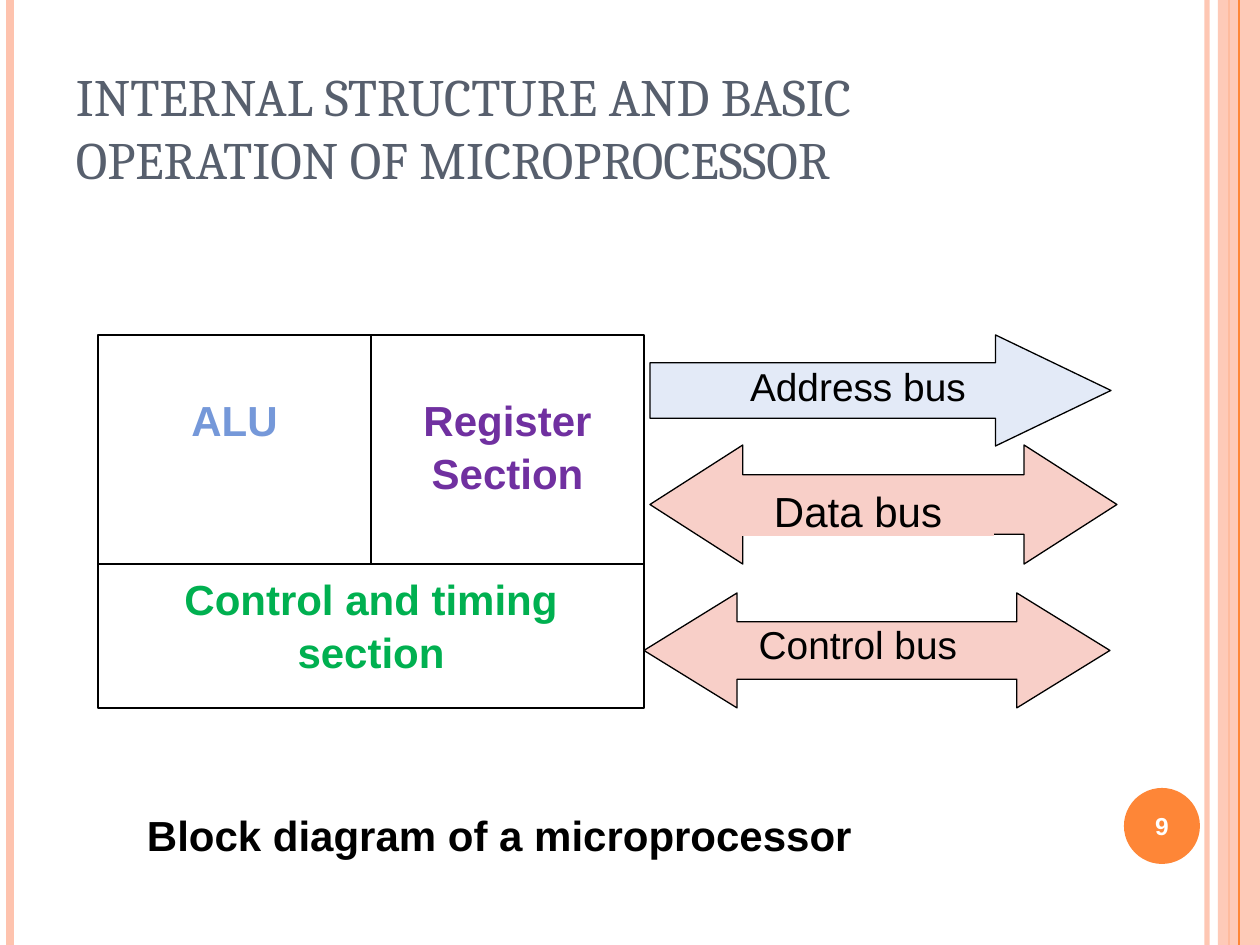
from typing import NamedTuple, Optional

from lxml.etree import SubElement
from pptx import Presentation
from pptx.dml.color import RGBColor
from pptx.enum.shapes import MSO_CONNECTOR, MSO_SHAPE
from pptx.enum.text import MSO_ANCHOR, PP_ALIGN
from pptx.oxml.ns import qn
from pptx.util import Emu, Pt

EMU_PER_PX = 914400 / 126
PAGE_WIDTH, PAGE_HEIGHT = 1260, 945

BLACK = RGBColor(0x00, 0x00, 0x00)
WHITE = RGBColor(0xFF, 0xFF, 0xFF)
SLATE = RGBColor(0x57, 0x5F, 0x6D)
PEACH = RGBColor(0xFE, 0xC3, 0xAE)
ORANGE = RGBColor(0xFE, 0x86, 0x37)
BLUE = RGBColor(0x75, 0x98, 0xD9)
PURPLE = RGBColor(0x70, 0x30, 0xA0)
GREEN = RGBColor(0x00, 0xB0, 0x50)
PALE_BLUE = RGBColor(0xE3, 0xEA, 0xF7)
PALE_RED = RGBColor(0xF8, 0xCF, 0xC8)


class Area(NamedTuple):
    left: int
    top: int
    width: int
    height: int


class Stripe(NamedTuple):
    x: int
    color: RGBColor
    points: float
    opacity: int = 100


class Block(NamedTuple):
    text: str
    area: Area
    color: RGBColor
    top_inset: int


class Bus(NamedTuple):
    kind: MSO_SHAPE
    area: Area
    head: float
    fill: RGBColor


class Label(NamedTuple):
    text: str
    area: Area
    size: float
    spacing: float
    fill: Optional[RGBColor] = None


STRIPES_BELOW = [
    Stripe(1207, PEACH, 3, 93),
    Stripe(10, PEACH, 4.5),
    Stripe(1229, ORANGE, 1.5),
]
BAND = Area(1218, 0, 42, PAGE_HEIGHT)
STRIPE_ABOVE = Stripe(1239, ORANGE, 0.75)
BADGE = Area(1124, 788, 76, 76)

LEFT, TOP, CELL, UPPER, LOWER = 98, 335, 273, 229, 144
BLOCKS = [
    Block("ALU", Area(LEFT, TOP, CELL, UPPER), BLUE, 57),
    Block("Register Section", Area(LEFT + CELL, TOP, CELL, UPPER), PURPLE, 57),
    Block("Control and timing section",
          Area(LEFT, TOP + UPPER, 2 * CELL, LOWER), GREEN, 7),
]
BUSES = [
    Bus(MSO_SHAPE.RIGHT_ARROW, Area(650, 335, 461, 111), 1.04, PALE_BLUE),
    Bus(MSO_SHAPE.LEFT_RIGHT_ARROW, Area(650, 445, 467, 119), 0.78, PALE_RED),
    Bus(MSO_SHAPE.LEFT_RIGHT_ARROW, Area(644, 593, 466, 115), 0.81, PALE_RED),
]
LABELS = [
    Label("Address bus", Area(722, 363, 272, 58), 22.2, 0.9),
    Label("Data bus", Area(722, 478, 272, 58), 24, 1.05, PALE_RED),
    Label("Control bus", Area(722, 621, 272, 58), 22.2, 0.9),
]


def px(length: int) -> Emu:
    return Emu(round(length * EMU_PER_PX))


def place(area: Area) -> list:
    return [px(length) for length in area]


def set_opacity(element, percent: int) -> None:
    color = next(element.iter(qn("a:srgbClr")))
    SubElement(color, qn("a:alpha")).set("val", str(percent * 1000))


def add_stripe(page, stripe: Stripe) -> None:
    x = px(stripe.x)
    line = page.shapes.add_connector(MSO_CONNECTOR.STRAIGHT, x, 0, x, px(PAGE_HEIGHT))
    line.line.color.rgb = stripe.color
    line.line.width = Pt(stripe.points)
    if stripe.opacity < 100:
        set_opacity(line.line._get_or_add_ln(), stripe.opacity)
    SubElement(line._element.spPr, qn("a:effectLst"))


def add_panel(page, kind: MSO_SHAPE, area: Area, fill: RGBColor,
              outlined: bool = False):
    shape = page.shapes.add_shape(kind, *place(area))
    shape.shadow.inherit = False
    shape.fill.solid()
    shape.fill.fore_color.rgb = fill
    if outlined:
        shape.line.color.rgb = BLACK
        shape.line.width = Pt(0.75)
    else:
        shape.line.fill.background()
    return shape


def write(shape, text: str, size: float, color: RGBColor, bold: bool = False,
          font: str = "Arial", align: PP_ALIGN = PP_ALIGN.CENTER,
          anchor: MSO_ANCHOR = MSO_ANCHOR.TOP, spacing: float = 1.0,
          side_inset: int = 11, top_inset: int = 5) -> None:
    frame = shape.text_frame
    frame.text = text
    frame.word_wrap = True
    frame.vertical_anchor = anchor
    frame.margin_left = frame.margin_right = px(side_inset)
    frame.margin_top, frame.margin_bottom = px(top_inset), px(5)
    para = frame.paragraphs[0]
    para.alignment = align
    para.line_spacing = spacing
    span = para.runs[0]
    span.font.name = font
    span.font.size = Pt(size)
    span.font.bold = bold
    span.font.color.rgb = color


def add_title(page) -> None:
    title = page.shapes.title
    title.left, title.top, title.width, title.height = place(Area(63, 38, 1029, 157))
    write(title, "INTERNAL STRUCTURE AND BASIC OPERATION OF MICROPROCESSOR", 30,
          SLATE, font="Cambria", align=PP_ALIGN.LEFT, anchor=MSO_ANCHOR.BOTTOM,
          side_inset=13)


def add_frame(page) -> None:
    for stripe in STRIPES_BELOW:
        add_stripe(page, stripe)
    band = add_panel(page, MSO_SHAPE.RECTANGLE, BAND, PEACH)
    set_opacity(band._element.spPr, 87)
    add_stripe(page, STRIPE_ABOVE)
    add_panel(page, MSO_SHAPE.OVAL, BADGE, ORANGE)


def add_diagram(page) -> None:
    for block in BLOCKS:
        box = add_panel(page, MSO_SHAPE.RECTANGLE, block.area, WHITE, outlined=True)
        write(box, block.text, 24, block.color, bold=True, spacing=1.05,
              top_inset=block.top_inset)
    for bus in BUSES:
        arrow = add_panel(page, bus.kind, bus.area, bus.fill, outlined=True)
        arrow.adjustments[0] = 0.5
        arrow.adjustments[1] = bus.head
    for label in LABELS:
        if label.fill is None:
            box = page.shapes.add_textbox(*place(label.area))
        else:
            box = add_panel(page, MSO_SHAPE.RECTANGLE, label.area, label.fill)
        write(box, label.text, label.size, BLACK, spacing=label.spacing)


def add_notes_text(page) -> None:
    number = page.shapes.add_textbox(*place(Area(1120, 790, 84, 72)))
    write(number, "9", 14, WHITE, bold=True, anchor=MSO_ANCHOR.MIDDLE)
    caption = page.shapes.add_textbox(*place(Area(134, 800, 833, 63)))
    write(caption, "Block diagram of a microprocessor", 24, BLACK, bold=True,
          align=PP_ALIGN.LEFT, side_inset=13, top_inset=10)


def main() -> None:
    deck = Presentation()
    deck.slide_width, deck.slide_height = px(PAGE_WIDTH), px(PAGE_HEIGHT)
    page = deck.slides.add_slide(deck.slide_layouts[5])
    page.background.fill.solid()
    page.background.fill.fore_color.rgb = WHITE
    add_frame(page)
    add_title(page)
    add_diagram(page)
    add_notes_text(page)
    deck.save("out.pptx")


if __name__ == "__main__":
    main()
